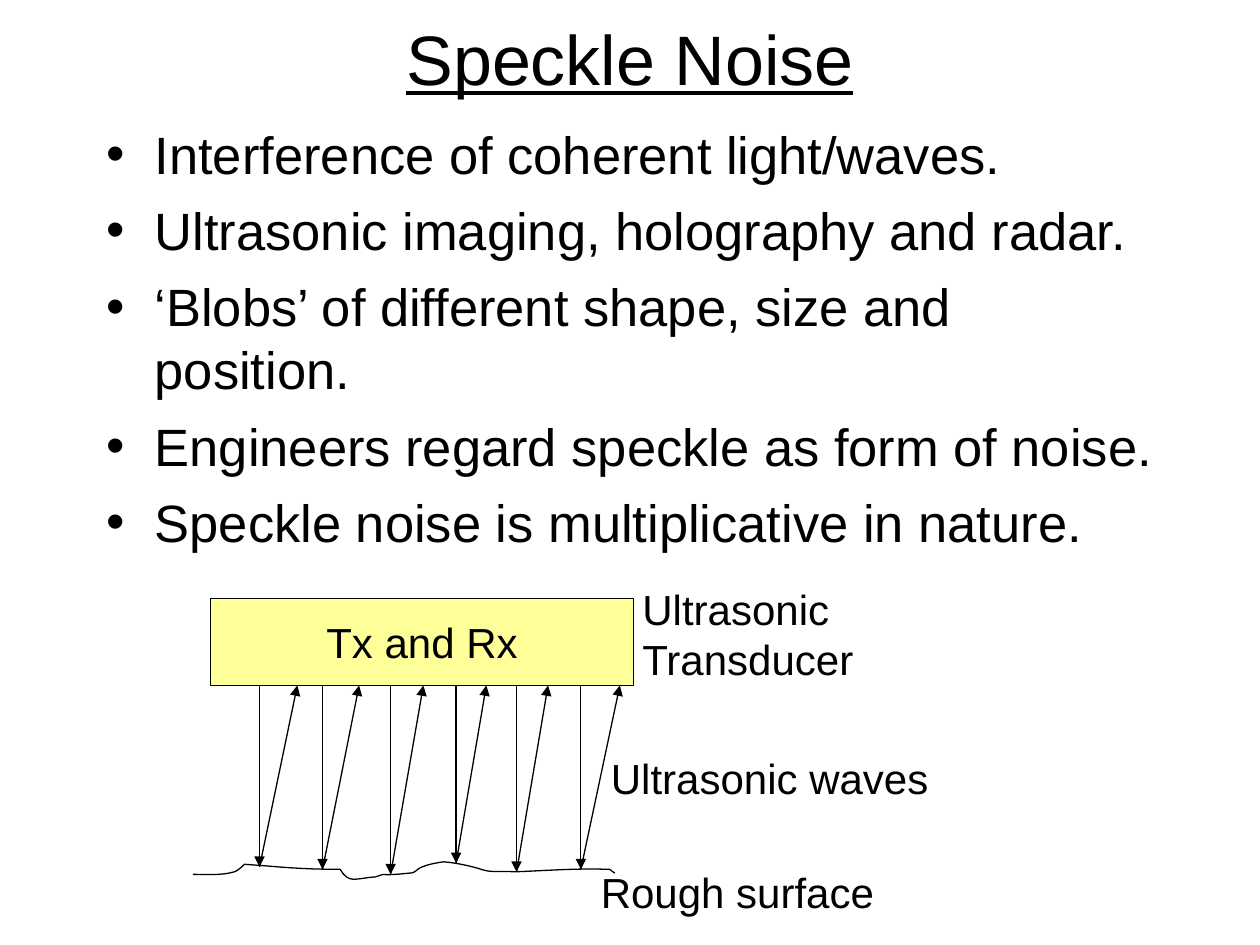
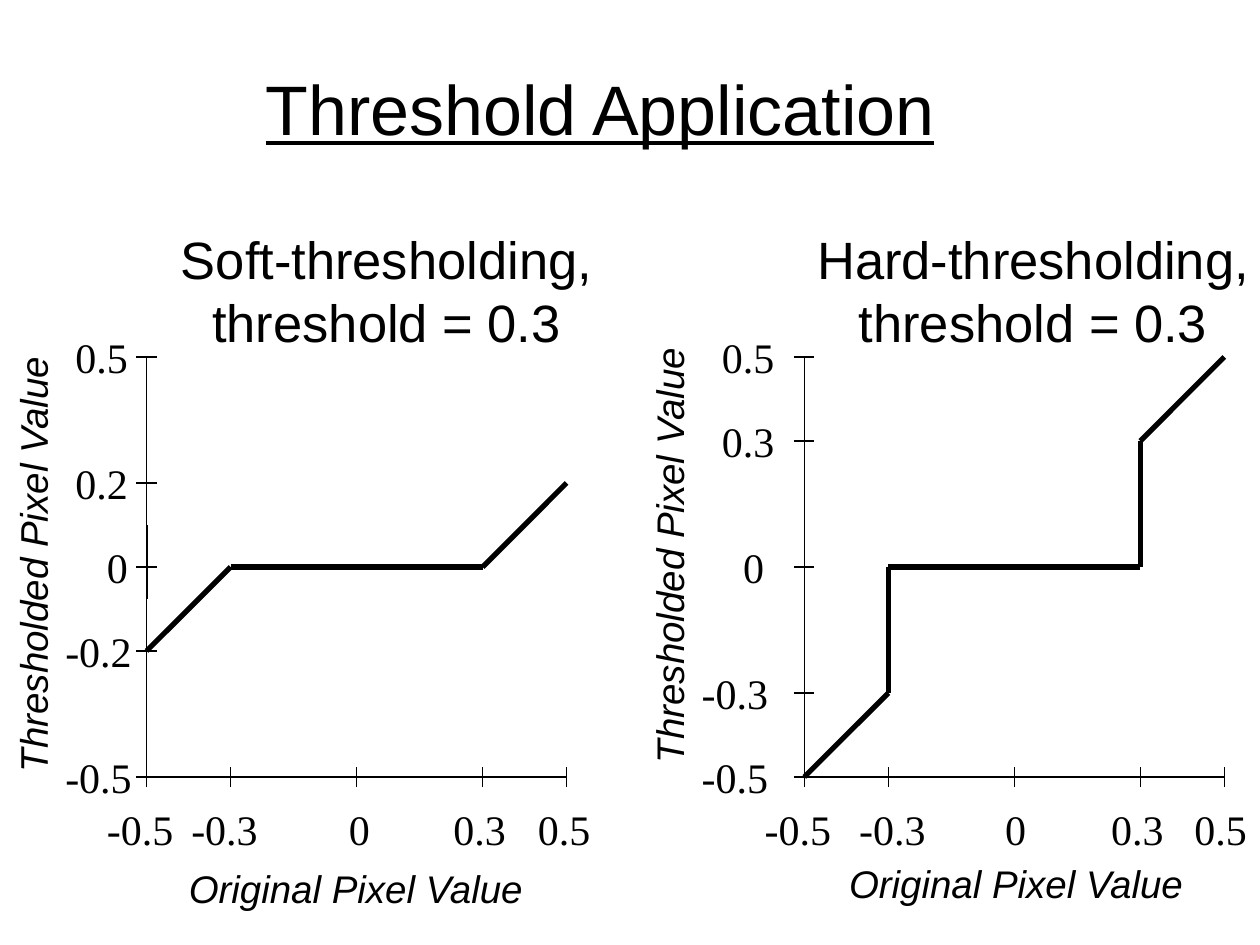
import itertools
from typing import NamedTuple

import pptx
import pptx.dml.color
import pptx.enum.shapes
import pptx.enum.text
import pptx.oxml
import pptx.oxml.ns
import pptx.shapes.base
import pptx.slide
import pptx.util

Inches = pptx.util.Inches
Align = pptx.enum.text.PP_ALIGN
Anchor = pptx.enum.text.MSO_ANCHOR

BLACK = pptx.dml.color.RGBColor(0x00, 0x00, 0x00)
YELLOW = pptx.dml.color.RGBColor(0xFF, 0xFF, 0x99)
SANS, SERIF = "Arial", "Times New Roman"
THIN, THICK = 0.75, 3


class Point(NamedTuple):
    x: float
    y: float


class Area(NamedTuple):
    left: float
    top: float
    width: float
    height: float


class Style(NamedTuple):
    size: float
    font: str = SANS
    italic: bool = False
    underline: bool = False
    align: Align = Align.LEFT


TITLE = Style(40, underline=True)
CENTRED_TITLE = TITLE._replace(align=Align.CENTER)
BULLET = Style(30)
HEADING = Style(30, align=Align.CENTER)
LABEL = Style(24)
NUMBER = Style(24, SERIF)
AXIS_NAME = Style(22, italic=True)


class Wave(NamedTuple):
    sent_x: float
    surface_y: float
    back_x: float


class Tick(NamedTuple):
    value: float
    label_left: float


class Plot(NamedTuple):
    centre_x: float
    heading: str
    heading_area: Area
    x_ticks: list[Tick]
    y_ticks: list[Tick]
    curve: list[Point]
    x_name_at: Point
    y_name_at: Point


# Shared drawing
def write(shape: pptx.shapes.base.BaseShape, lines: list[str], style: Style) -> None:
    frame = shape.text_frame
    for index, line in enumerate(lines):
        para = frame.paragraphs[0] if index == 0 else frame.add_paragraph()
        para.alignment = style.align
        span = para.add_run()
        span.text = line
        span.font.name = style.font
        span.font.size = pptx.util.Pt(style.size)
        span.font.italic = style.italic
        span.font.underline = style.underline
        span.font.color.rgb = BLACK


def add_text(page: pptx.slide.Slide, area: Area, lines: list[str], style: Style,
             wrap: bool = False) -> pptx.shapes.base.BaseShape:
    box = page.shapes.add_textbox(*map(Inches, area))
    frame = box.text_frame
    frame.word_wrap = wrap
    if not wrap:
        frame.auto_size = pptx.enum.text.MSO_AUTO_SIZE.SHAPE_TO_FIT_TEXT
        frame.margin_right = Inches(0.08)  # slack that keeps tight lines whole
    write(box, lines, style)
    return box


def add_line(page: pptx.slide.Slide, start: Point, end: Point,
             width: float = THIN, arrow: bool = False) -> None:
    line = page.shapes.add_connector(
        pptx.enum.shapes.MSO_CONNECTOR.STRAIGHT, *map(Inches, (*start, *end)))
    line.line.color.rgb = BLACK
    line.line.width = pptx.util.Pt(width)
    if arrow:
        tail = pptx.oxml.xmlchemy.OxmlElement("a:tailEnd")
        tail.set("type", "triangle")
        line.line._get_or_add_ln().append(tail)
    line._element.spPr.append(pptx.oxml.xmlchemy.OxmlElement("a:effectLst"))


def outline(shape: pptx.shapes.base.BaseShape) -> None:
    shape.shadow.inherit = False
    shape.line.color.rgb = BLACK
    shape.line.width = pptx.util.Pt(THIN)


# Slide 1: speckle noise
BULLETS = [
    "Interference of coherent light/waves.",
    "Ultrasonic imaging, holography and radar.",
    "‘Blobs’ of different shape, size and position.",
    "Engineers regard speckle as form of noise.",
    "Speckle noise is multiplicative in nature.",
]
TRANSDUCER = Area(1.67, 4.75, 3.36, 0.69)
WAVES = [
    Wave(2.06, 6.88, 2.36), Wave(2.56, 6.90, 2.85), Wave(3.10, 6.94, 3.36),
    Wave(3.62, 6.85, 3.86), Wave(4.10, 6.92, 4.35), Wave(4.61, 6.90, 4.92),
]
SURFACE_START = Point(1.53, 6.94)
# Each curve: two control points and an end point
SURFACE_CURVES = [
    (Point(1.64, 6.94), Point(1.76, 6.95), Point(1.86, 6.92)),
    (Point(1.89, 6.91), Point(1.94, 6.86), Point(1.94, 6.86)),
    (Point(2.23, 6.88), Point(2.37, 6.90), Point(2.70, 6.90)),
    (Point(2.77, 7.02), Point(2.82, 6.97), Point(2.98, 6.96)),
    (Point(3.10, 6.92), Point(2.96, 6.96), Point(3.25, 6.93)),
    (Point(3.29, 6.93), Point(3.30, 6.91), Point(3.33, 6.89)),
    (Point(3.39, 6.86), Point(3.46, 6.85), Point(3.52, 6.84)),
    (Point(3.63, 6.85), Point(3.72, 6.87), Point(3.82, 6.90)),
    (Point(3.90, 6.93), Point(3.99, 6.91), Point(4.08, 6.92)),
    (Point(4.34, 6.91), Point(4.58, 6.89), Point(4.84, 6.90)),
    (Point(4.85, 6.91), Point(4.88, 6.93), Point(4.88, 6.93)),
]
CURVE_STEPS = 8


def add_bullets(page: pptx.slide.Slide) -> None:
    box = add_text(page, Area(0.75, 0.92, 8.5, 4.5), BULLETS, BULLET, wrap=True)
    for para in box.text_frame.paragraphs:
        para.space_before = pptx.util.Pt(7.5)
        props = para._p.get_or_add_pPr()
        props.set("marL", str(Inches(0.38)))
        props.set("indent", str(-Inches(0.38)))
        for tag, name, value in (("a:buFont", "typeface", SANS), ("a:buChar", "char", "•")):
            mark = pptx.oxml.xmlchemy.OxmlElement(tag)
            mark.set(name, value)
            props.append(mark)


def bezier(points: tuple[Point, ...], t: float) -> tuple[int, int]:
    weights = ((1 - t) ** 3, 3 * t * (1 - t) ** 2, 3 * t * t * (1 - t), t ** 3)
    x, y = (sum(w * c for w, c in zip(weights, axis)) for axis in zip(*points))
    return Inches(x), Inches(y)


def add_surface(page: pptx.slide.Slide) -> None:
    vertices, start = [], SURFACE_START
    for curve in SURFACE_CURVES:
        vertices += [bezier((start, *curve), step / CURVE_STEPS)
                     for step in range(1, CURVE_STEPS + 1)]
        start = curve[-1]
    builder = page.shapes.build_freeform(*map(Inches, SURFACE_START))
    builder.add_line_segments(vertices, close=False)
    surface = builder.convert_to_shape()
    surface.fill.background()
    outline(surface)


def draw_speckle(page: pptx.slide.Slide) -> None:
    add_text(page, Area(0.75, -0.17, 8.5, 1.25), ["Speckle Noise"], CENTRED_TITLE,
             wrap=True).text_frame.vertical_anchor = Anchor.MIDDLE
    add_bullets(page)

    # Transducer, waves and surface
    transducer = page.shapes.add_shape(
        pptx.enum.shapes.MSO_SHAPE.RECTANGLE, *map(Inches, TRANSDUCER))
    transducer.fill.solid()
    transducer.fill.fore_color.rgb = YELLOW
    outline(transducer)
    transducer.text_frame.word_wrap = False
    transducer.text_frame.vertical_anchor = Anchor.MIDDLE
    write(transducer, ["Tx and Rx"], LABEL._replace(align=Align.CENTER))
    add_surface(page)
    bottom = TRANSDUCER.top + TRANSDUCER.height
    for wave in WAVES:
        hit = Point(wave.sent_x, wave.surface_y)
        add_line(page, Point(wave.sent_x, bottom), hit, arrow=True)
        add_line(page, hit, Point(wave.back_x, bottom), arrow=True)

    # Labels
    add_text(page, Area(4.67, 6.83, 2.37, 0.5), ["Rough surface"], LABEL)
    add_text(page, Area(5, 4.58, 1.88, 0.9), ["Ultrasonic", "Transducer"], LABEL)
    add_text(page, Area(4.75, 5.92, 2.72, 0.5), ["Ultrasonic waves"], LABEL)


# Slide 2: threshold plots
CENTRE_Y = 4.5
UNIT = 10 / 3  # inches for a pixel value of 1
LIMIT = 0.5
TICK_HALF = 0.08
NUMBER_WIDTHS = {1: 0.36, 3: 0.61, 4: 0.73}  # by number of characters
PLOTS = [
    Plot(
        2.83, "Soft-thresholding,", Area(1.33, 1.75, 3.46, 1.1),
        [Tick(-0.5, 0.75), Tick(-0.3, 1.42), Tick(0, 2.67), Tick(0.3, 3.5), Tick(0.5, 4.17)],
        [Tick(-0.5, 0.42), Tick(-0.2, 0.42), Tick(0, 0.75), Tick(0.2, 0.5), Tick(0.5, 0.5)],
        [Point(-0.5, -0.2), Point(-0.3, 0), Point(0.3, 0), Point(0.5, 0.2)],
        Point(1.4, 6.82), Point(-1.49, 4.24),
    ),
    Plot(
        8.05, "Hard-thresholding,", Area(6.38, 1.75, 3.62, 1.1),
        [Tick(-0.5, 5.97), Tick(-0.3, 6.72), Tick(0, 7.88), Tick(0.3, 8.72), Tick(0.5, 9.38)],
        [Tick(-0.5, 5.47), Tick(-0.3, 5.47), Tick(0, 5.8), Tick(0.3, 5.63), Tick(0.5, 5.63)],
        [Point(-0.5, -0.5), Point(-0.3, -0.3), Point(-0.3, 0),
         Point(0.3, 0), Point(0.3, 0.3), Point(0.5, 0.5)],
        Point(6.64, 6.78), Point(3.56, 4.17),
    ),
]


def add_number(page: pptx.slide.Slide, tick: Tick, top: float) -> None:
    text = f"{tick.value:g}"
    add_text(page, Area(tick.label_left, top, NUMBER_WIDTHS[len(text)], 0.5), [text], NUMBER)


def draw_plot(page: pptx.slide.Slide, plot: Plot) -> None:
    def place(x: float, y: float) -> Point:
        return Point(plot.centre_x + x * UNIT, CENTRE_Y - y * UNIT)

    # Axes
    origin = place(-LIMIT, -LIMIT)
    add_line(page, origin, place(LIMIT, -LIMIT))
    add_line(page, origin, place(-LIMIT, LIMIT))
    for tick in plot.x_ticks:
        x = place(tick.value, 0).x
        add_line(page, Point(x, origin.y + TICK_HALF), Point(x, origin.y - TICK_HALF))
        add_number(page, tick, 6.33)
    for tick in plot.y_ticks:
        y = place(0, tick.value).y
        # The lowest tick runs on into the horizontal axis
        add_line(page, Point(origin.x - TICK_HALF, y), Point(origin.x + TICK_HALF, y))
        add_number(page, tick, y - 0.25)

    # Threshold curve
    for start, end in itertools.pairwise(plot.curve):
        add_line(page, place(*start), place(*end), THICK)

    # Names
    add_text(page, Area(*plot.x_name_at, 2.86, 0.47), ["Original Pixel Value"], AXIS_NAME)
    add_text(page, Area(*plot.y_name_at, 3.5, 0.47),
             ["Thresholded Pixel Value"], AXIS_NAME).rotation = 270
    add_text(page, plot.heading_area, [plot.heading, "threshold = 0.3"], HEADING)


def draw_thresholds(page: pptx.slide.Slide) -> None:
    for plot in PLOTS:
        draw_plot(page, plot)
    # Darker stretch of the left axis around zero
    add_line(page, Point(1.17, 4.17), Point(1.17, 4.75))
    add_text(page, Area(2.01, 0.47, 5.53, 0.77), ["Threshold Application"], TITLE)


def main() -> None:
    deck = pptx.Presentation()
    deck.slide_width, deck.slide_height = Inches(10), Inches(7.5)
    for draw in (draw_speckle, draw_thresholds):
        draw(deck.slides.add_slide(deck.slide_layouts[6]))
    deck.save("out.pptx")


if __name__ == "__main__":
    main()
